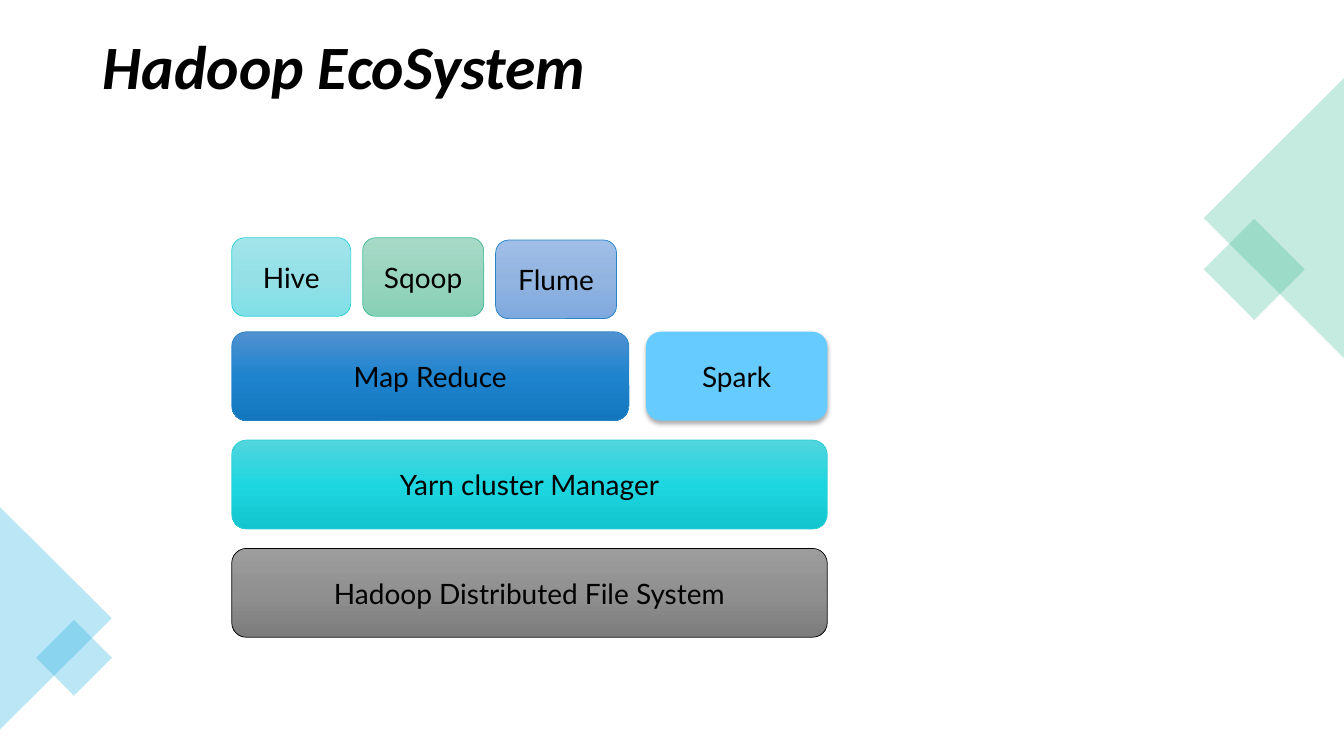
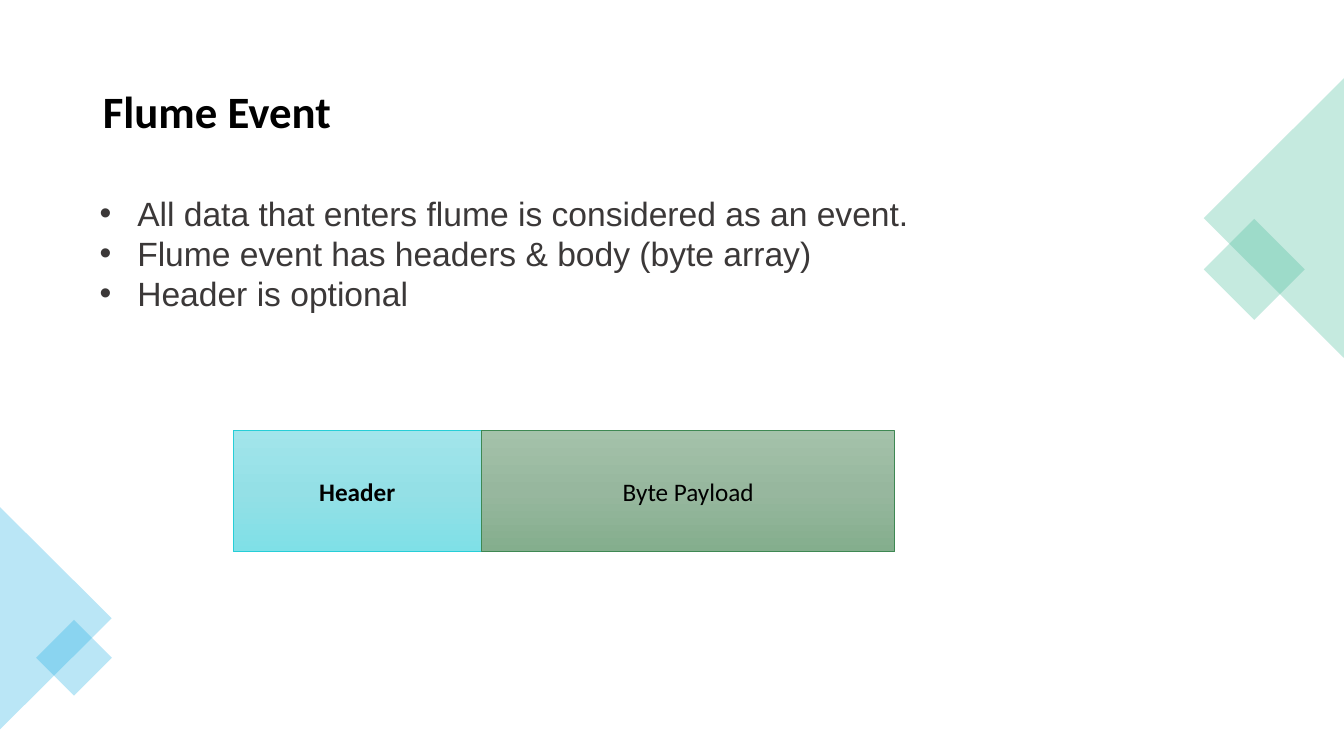
from copy import deepcopy

from lxml.etree import SubElement
from pptx import Presentation
from pptx.dml.color import RGBColor
from pptx.enum.shapes import MSO_SHAPE as Preset
from pptx.enum.text import MSO_ANCHOR as Anchor, MSO_AUTO_SIZE as AutoSize, PP_ALIGN as Align
from pptx.oxml.ns import qn
from pptx.util import Cm, Pt

BLACK = RGBColor(0x00, 0x00, 0x00)
CHARCOAL = RGBColor(0x3B, 0x38, 0x38)
MINT = RGBColor(0x42, 0xBA, 0x97)
SKY = RGBColor(0x1C, 0xAD, 0xE4)
LIGHT_SKY = RGBColor(0x66, 0xCC, 0xFF)
CYAN = RGBColor(0x27, 0xCE, 0xD7)
BLUE = RGBColor(0x26, 0x83, 0xC6)
GREEN = RGBColor(0x3E, 0x88, 0x53)

# Top, middle and bottom colour of each gradient
GREY_BLEND = [RGBColor(0x9D, 0x9D, 0x9D), RGBColor(0x90, 0x90, 0x90), RGBColor(0x7C, 0x7C, 0x7C)]
CYAN_BLEND = [RGBColor(0x52, 0xD5, 0xDD), RGBColor(0x1E, 0xD6, 0xE0), RGBColor(0x13, 0xC5, 0xCF)]
BLUE_BLEND = [RGBColor(0x51, 0x91, 0xD0), RGBColor(0x1E, 0x84, 0xCE), RGBColor(0x14, 0x77, 0xBE)]
PALE_CYAN = [RGBColor(0xA2, 0xE5, 0xEB), RGBColor(0x94, 0xE0, 0xE6), RGBColor(0x7F, 0xE0, 0xE7)]
PALE_MINT = [RGBColor(0xA7, 0xDA, 0xC8), RGBColor(0x99, 0xD4, 0xBE), RGBColor(0x86, 0xD1, 0xB6)]
PALE_BLUE = [RGBColor(0x9F, 0xBE, 0xE8), RGBColor(0x92, 0xB4, 0xE0), RGBColor(0x7E, 0xA9, 0xE0)]
PALE_GREEN = [RGBColor(0xA4, 0xC2, 0xAA), RGBColor(0x97, 0xB7, 0x9E), RGBColor(0x84, 0xAE, 0x8D)]

TITLE = dict(name="Calibri", size=Pt(44), bold=True, italic=True)
SUBTITLE = dict(name="Calibri", size=Pt(32), bold=True, italic=False)
LAYER = dict(name="Lato", size=Pt(20))
FIELD = dict(name="Calibri", size=Pt(18))
BULLET = dict(name="Arial", size=Pt(24))

# Corner ornaments: preset, left, top, width, height, rotation, colour
ORNAMENTS = [
    (Preset.RECTANGLE, 30.71, 5.89, 1.8, 1.8, 45, MINT),
    (Preset.ISOSCELES_TRIANGLE, 28.58, 3.73, 7.04, 3.53, 270, MINT),
    (Preset.ISOSCELES_TRIANGLE, -1.4, 14.17, 5.61, 2.82, 90, SKY),
    (Preset.RECTANGLE, 1.19, 15.9, 1.35, 1.35, 45, SKY),
]


class Deck:
    """Holds the shared style and the slide being built."""

    def __init__(self):
        self.prs = Presentation()
        self.prs.slide_width, self.prs.slide_height = Cm(33.87), Cm(19.05)
        self.slide = None

    def set_font(self, paragraph, style, color=BLACK):
        for key, value in style.items():
            setattr(paragraph.font, key, value)
        paragraph.font.color.rgb = color

    def set_frame(self, frame):
        settings = dict(word_wrap=True, auto_size=AutoSize.NONE, vertical_anchor=Anchor.MIDDLE)
        for key, value in settings.items():
            setattr(frame, key, value)

    def add_slide(self, title, top, style):
        self.slide = self.prs.slides.add_slide(self.prs.slide_layouts[5])
        for ornament in ORNAMENTS:
            self.add_ornament(*ornament)
        heading = self.slide.shapes.title
        place = dict(left=Cm(2.34), top=Cm(top), width=Cm(29.21), height=Cm(3.68))
        for key, value in place.items():
            setattr(heading, key, value)
        self.set_frame(heading.text_frame)
        heading.text_frame.text = title
        line = heading.text_frame.paragraphs[0]
        line.alignment, line.line_spacing = Align.LEFT, 0.9
        self.set_font(line, style)

    def add_shape(self, preset, left, top, width, height):
        shape = self.slide.shapes.add_shape(preset, Cm(left), Cm(top), Cm(width), Cm(height))
        shape.shadow.inherit = False
        return shape

    def add_ornament(self, preset, left, top, width, height, rotation, color):
        ornament = self.add_shape(preset, left, top, width, height)
        ornament.rotation = rotation
        ornament.line.fill.background()
        ornament.fill.solid()
        ornament.fill.fore_color.rgb = color
        tint = ornament._element.spPr.find(qn("a:solidFill"))[0]
        SubElement(tint, qn("a:alpha"), val="30000")

    def add_block(self, text, left, top, width, height, blend, edge, style=LAYER,
                  preset=Preset.ROUNDED_RECTANGLE):
        """A labelled block; without an edge it is plain and casts a shadow."""
        block = self.add_shape(preset, left, top, width, height)
        if edge is None:
            block.fill.solid()
            block.fill.fore_color.rgb = blend
            block.line.fill.background()
            self.add_shadow(block)
        else:
            self.fill_gradient(block, blend)
            block.line.color.rgb = edge
            block.line.width = Pt(0.5)
        self.set_frame(block.text_frame)
        label = block.text_frame.paragraphs[0]
        label.text, label.alignment = text, Align.CENTER
        self.set_font(label, style)

    def fill_gradient(self, shape, blend):
        shape.fill.gradient()
        shape.fill.gradient_angle = 270
        stops = shape._element.spPr.find(qn("a:gradFill")).find(qn("a:gsLst"))
        stops.insert(1, deepcopy(stops[0]))
        for stop, position, color in zip(shape.fill.gradient_stops, (0, 0.5, 1), blend):
            stop.position = position
            stop.color.rgb = color

    def add_shadow(self, shape):
        effects = shape._element.spPr.find(qn("a:effectLst"))
        shadow = SubElement(effects, qn("a:outerShdw"), blurRad=str(Pt(3.5)), dist=str(Pt(2.2)),
                            dir="5400000", algn="ctr", rotWithShape="0")
        color = SubElement(shadow, qn("a:srgbClr"), val=str(BLACK))
        SubElement(color, qn("a:alpha"), val="32000")

    def add_bullets(self, lines, left, top, width, height):
        box = self.slide.shapes.add_textbox(Cm(left), Cm(top), Cm(width), Cm(height))
        self.set_frame(box.text_frame)
        box.text_frame.text = "\n".join(lines)
        for paragraph in box.text_frame.paragraphs:
            props = paragraph._p.get_or_add_pPr()
            props.set("marL", str(Cm(0.95)))
            props.set("indent", str(-Cm(0.95)))
            SubElement(props, qn("a:buFont"), typeface="Arial")
            SubElement(props, qn("a:buChar"), char="•")
            self.set_font(paragraph, BULLET, CHARCOAL)


def build_ecosystem(deck):
    deck.add_slide("Hadoop EcoSystem", -0.08, TITLE)
    left, full_width, layer_height = 5.84, 15.01, 2.24
    engine_top, manager_top, storage_top = (8.36 + 2.73 * row for row in range(3))

    # Storage, cluster manager and engines
    deck.add_block("Hadoop Distributed File System", left, storage_top, full_width, layer_height,
                   GREY_BLEND, BLACK)
    deck.add_block("Yarn cluster Manager", left, manager_top, full_width, layer_height,
                   CYAN_BLEND, CYAN)
    deck.add_block("Map Reduce", left, engine_top, 10.01, layer_height, BLUE_BLEND, BLUE)
    spark_width = 4.57
    deck.add_block("Spark", left + full_width - spark_width, engine_top, spark_width, layer_height,
                   LIGHT_SKY, None)

    # Tools on top of Map Reduce
    tools = [("Hive", 5.99, 3.0, PALE_CYAN, CYAN),
             ("Sqoop", 5.99, 3.05, PALE_MINT, MINT),
             ("Flume", 6.05, 3.05, PALE_BLUE, BLUE)]
    for tool, top, width, blend, edge in tools:
        deck.add_block(tool, left, top, width, 1.98, blend, edge)
        left += width + 0.3


def build_flume_event(deck):
    deck.add_slide("Flume Event", 1.02, SUBTITLE)

    # Event layout: header followed by payload
    left, header_width = 5.87, 6.27
    deck.add_block("Header", left, 10.85, header_width, 3.05, PALE_CYAN, CYAN,
                   dict(FIELD, bold=True), Preset.RECTANGLE)
    deck.add_block("Byte Payload", left + header_width, 10.85, 10.41, 3.05, PALE_GREEN, GREEN,
                   FIELD, Preset.RECTANGLE)

    # Facts about the event
    deck.add_bullets(["All data that enters flume is considered as an event.",
                      "Flume event has headers & body (byte array)",
                      "Header is optional"], 2.26, 3.63, 27.91, 5.49)


def main():
    deck = Deck()
    build_ecosystem(deck)
    build_flume_event(deck)
    deck.prs.save("out.pptx")


if __name__ == "__main__":
    main()
